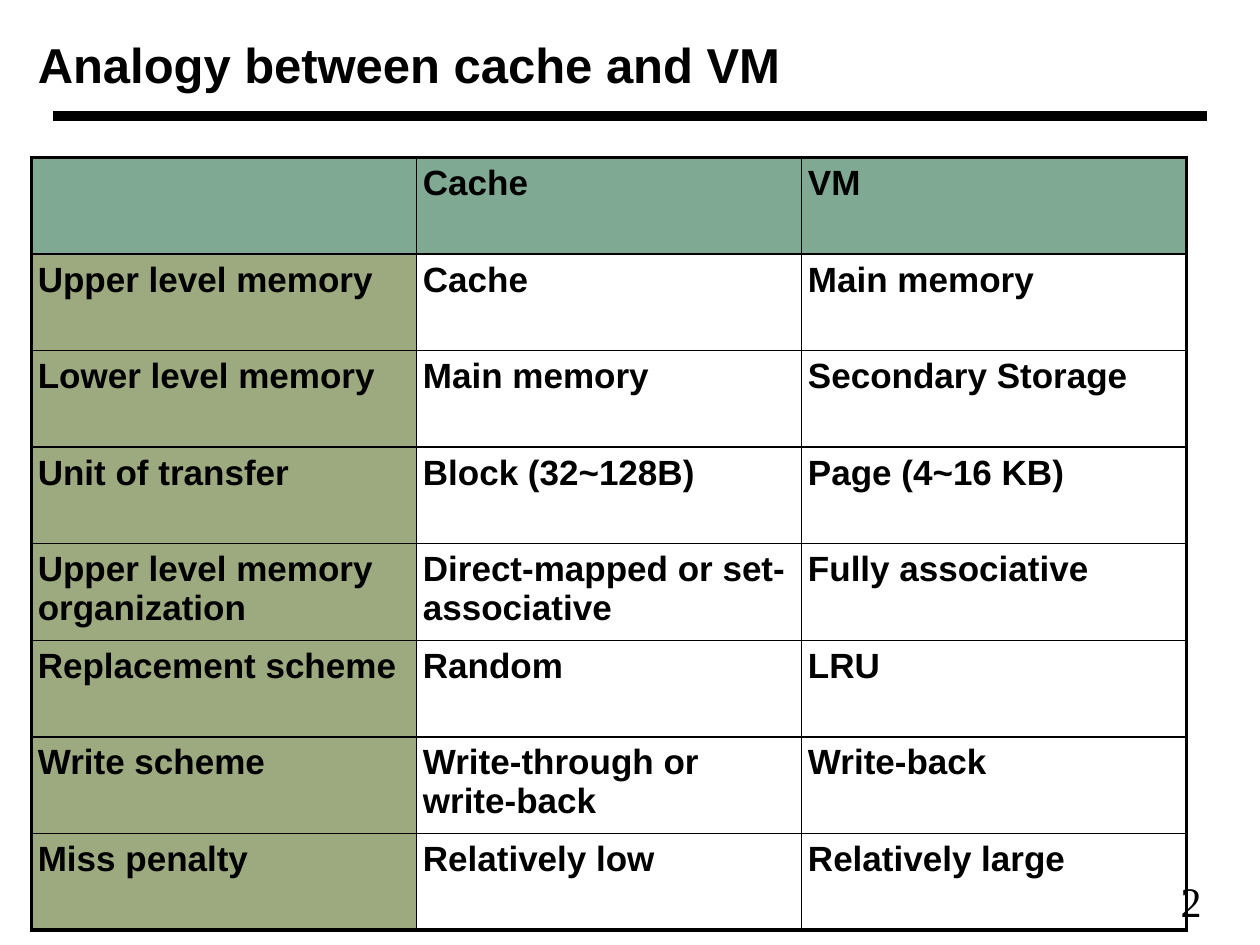
import lxml.etree
import pptx
import pptx.dml.color
import pptx.enum.shapes
import pptx.enum.text
import pptx.oxml
import pptx.oxml.ns
import pptx.util

Inches = pptx.util.Inches
Pt = pptx.util.Pt
qn = pptx.oxml.ns.qn

BLACK = "000000"
HEADER_GREEN = "005528"
LABEL_OLIVE = "3D5500"
INSET = Inches(0.05)
THIN = 1
THICK = 2.25

ROWS = [
    ("", "Cache", "VM"),
    ("Upper level memory", "Cache", "Main memory"),
    ("Lower level memory", "Main memory", "Secondary Storage"),
    ("Unit of transfer", "Block (32~128B)", "Page (4~16 KB)"),
    ("Upper level memory organization", "Direct-mapped or set-associative", "Fully associative"),
    ("Replacement scheme", "Random", "LRU"),
    ("Write scheme", "Write-through or write-back", "Write-back"),
    ("Miss penalty", "Relatively low", "Relatively large"),
]


def set_color(color_format, color):
    color_format.rgb = pptx.dml.color.RGBColor.from_string(color)


def set_insets(target):
    target.margin_left = target.margin_right = INSET
    target.margin_top = target.margin_bottom = INSET


def format_runs(paragraph, font_name, size, bold):
    for run in paragraph.runs:
        run.font.name = font_name
        run.font.size = Pt(size)
        run.font.bold = bold
        set_color(run.font.color, BLACK)


def add_text(slide, text, left, top, width, height, font_name, size, bold, wrap, anchor):
    shape = slide.shapes.add_textbox(Inches(left), Inches(top), Inches(width), Inches(height))
    text_frame = shape.text_frame
    text_frame.text = text
    text_frame.word_wrap = wrap
    text_frame.vertical_anchor = anchor
    set_insets(text_frame)
    format_runs(text_frame.paragraphs[0], font_name, size, bold)


def add_rule(slide, left, right, top, width):
    connector = slide.shapes.add_connector(
        pptx.enum.shapes.MSO_CONNECTOR.STRAIGHT,
        Inches(left), Inches(top), Inches(right), Inches(top),
    )
    connector.line.width = Pt(width)
    set_color(connector.line.color, BLACK)
    lxml.etree.SubElement(connector._element.spPr, qn("a:effectLst"))


def add_cell_border(cell, side, width):
    properties = cell._tc.get_or_add_tcPr()
    line = lxml.etree.SubElement(properties, qn(f"a:ln{side}"), w=str(Pt(width)))
    fill = lxml.etree.SubElement(line, qn("a:solidFill"))
    lxml.etree.SubElement(fill, qn("a:srgbClr"), val=BLACK)


def fill_cell(cell, color):
    if color is None:
        cell.fill.background()
        return
    cell.fill.solid()
    set_color(cell.fill.fore_color, color)
    for color_element in cell._tc.tcPr.findall(f"{qn('a:solidFill')}/{qn('a:srgbClr')}"):
        lxml.etree.SubElement(color_element, qn("a:alpha"), val="50000")


def format_cell(cell, text, color, outer_sides):
    set_insets(cell)
    paragraph = cell.text_frame.paragraphs[0]
    paragraph.text = text
    paragraph.space_before = Pt(4)
    format_runs(paragraph, "Arial", 20, True)
    for side in "LRTB":
        add_cell_border(cell, side, THICK if side in outer_sides else THIN)
    fill_cell(cell, color)


def add_comparison_table(slide, rows, left, top, width, height):
    column_count = len(rows[0])
    table = slide.shapes.add_table(
        len(rows), column_count, Inches(left), Inches(top), Inches(width), Inches(height)
    ).table
    table.first_row = False
    table.horz_banding = False
    for row_index, row in enumerate(rows):
        for column_index, text in enumerate(row):
            edges = {
                "L": column_index == 0,
                "R": column_index == column_count - 1,
                "T": row_index == 0,
                "B": row_index == len(rows) - 1,
            }
            outer_sides = [side for side, is_outer in edges.items() if is_outer]
            color = HEADER_GREEN if edges["T"] else LABEL_OLIVE if edges["L"] else None
            format_cell(table.cell(row_index, column_index), text, color, outer_sides)


def main():
    presentation = pptx.Presentation()
    presentation.slide_width = Inches(10)
    presentation.slide_height = Inches(7.5)
    slide = presentation.slides.add_slide(presentation.slide_layouts[6])
    anchors = pptx.enum.text.MSO_ANCHOR

    add_rule(slide, 0.42, 9.58, 0.92, 6)
    add_text(slide, "2", 9.32, 6.9, 0.28, 0.46, "Times New Roman", 24, False, False, anchors.TOP)
    add_text(slide, "Analogy between cache and VM", 0.25, 0.17, 8.33, 0.67,
             "Arial", 28, True, True, anchors.MIDDLE)
    add_comparison_table(slide, ROWS, 0.25, 1.25, 9.17, 6.13)

    presentation.save("out.pptx")


if __name__ == "__main__":
    main()
